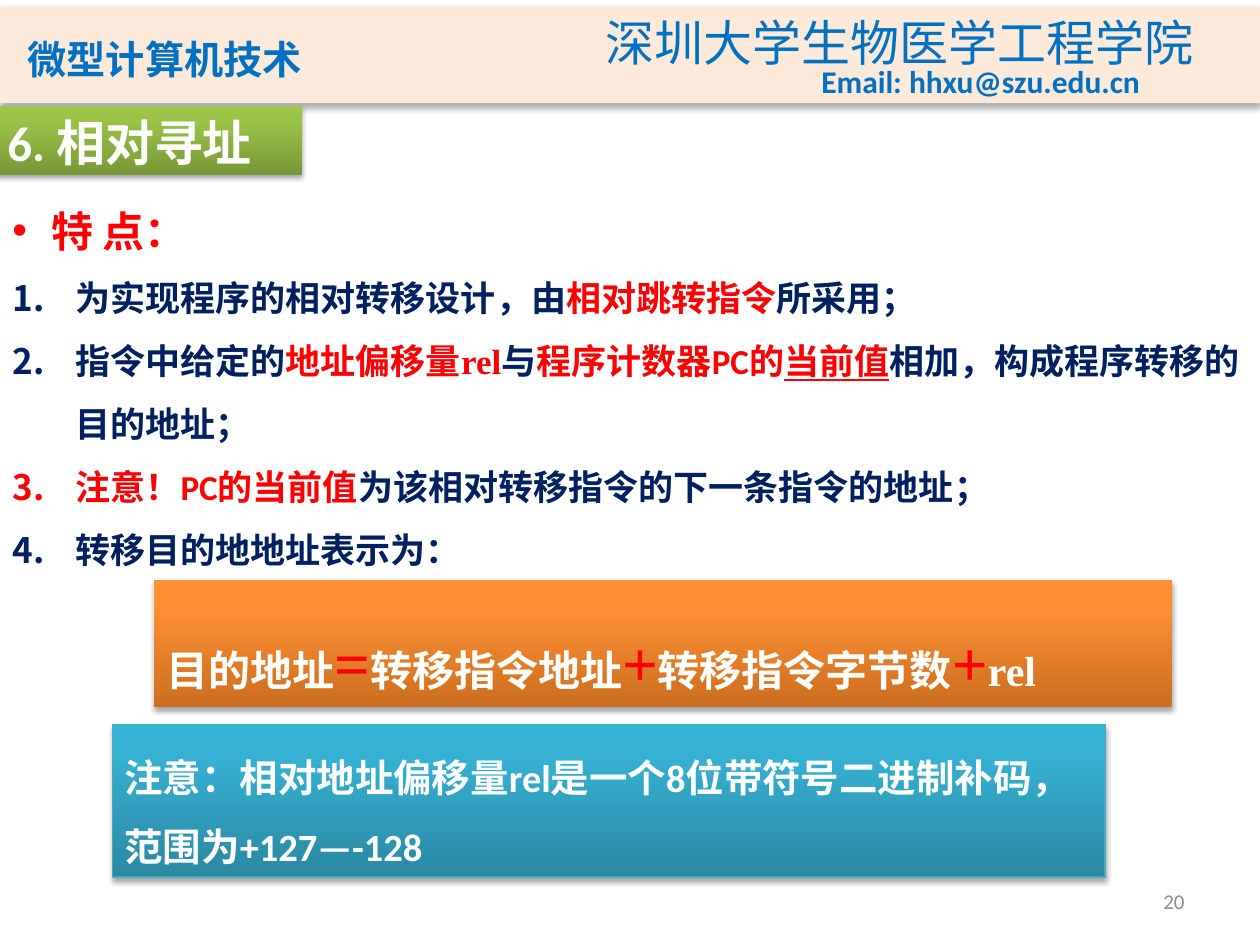
from lxml.etree import SubElement
from pptx import Presentation
from pptx.dml.color import RGBColor
from pptx.enum.shapes import MSO_SHAPE
from pptx.enum.text import MSO_ANCHOR, MSO_AUTO_SIZE, PP_ALIGN
from pptx.oxml import parse_xml
from pptx.oxml.ns import nsdecls, qn
from pptx.util import Inches, Pt

HUE = {
    "blue": "0070C0", "navy": "002060", "red": "FF0000", "white": "FFFFFF",
    "gray": "8C8C8C", "peach": "FDEADA", "edge": "46AAC5",
}
FADE = {
    "green": ("779737", "9BC348", "9DC746"),
    "orange": ("CC6E20", "FF9034", "FF9136"),
    "teal": ("2A88A2", "37B1D2", "34B4D6"),
}
SANS, CJK, TIMES = "Calibri", "Noto Sans CJK SC", "Times New Roman"

deck = Presentation()
deck.slide_width, deck.slide_height = Inches(10), Inches(7.5)
page = deck.slides.add_slide(deck.slide_layouts[6])

# Grid of 100 columns by 75 rows
COL, ROW = deck.slide_width / 100, deck.slide_height / 75


def write(box, runs, new=False, size=18, font=SANS, east=CJK, hue="blue", bold=True,
          caps=False, wrap=True, grow=False, anchor=MSO_ANCHOR.TOP,
          align=PP_ALIGN.LEFT, lead=None, mark=None, hang=0):
    """Fill one paragraph; each run is (text, overrides of size, font, hue, under)."""
    frame = box.text_frame
    frame.word_wrap, frame.vertical_anchor = wrap, anchor
    frame.auto_size = MSO_AUTO_SIZE.SHAPE_TO_FIT_TEXT if grow else MSO_AUTO_SIZE.NONE
    para = frame.add_paragraph() if new else frame.paragraphs[0]
    para.alignment = align
    if lead:
        para.line_spacing = lead
    if mark:
        prop = para._p.get_or_add_pPr()
        prop.set("marL", str(int(hang * COL)))
        prop.set("indent", str(int(-hang * COL)))
        if mark == "•":
            SubElement(prop, qn("a:buFont"), typeface="Arial")
            SubElement(prop, qn("a:buChar"), char=mark)
        else:
            SubElement(prop, qn("a:buFont"), typeface="+mj-lt")
            SubElement(prop, qn("a:buAutoNum"), type=mark)
    for text, own in runs:
        run = para.add_run()
        run.text = text
        run.font.size = Pt(own.get("size", size))
        run.font.name = own.get("font", font)
        run.font.bold = bold
        run.font.color.rgb = RGBColor.from_string(HUE[own.get("hue", hue)])
        if own.get("under"):
            run.font.underline = True
        prop = run._r.get_or_add_rPr()
        if caps:
            prop.set("cap", "small")
        SubElement(prop, qn("a:ea"), typeface=east)


def place(x, y, wide, high, fill=None, edge=None, blur=3.1, drop=1.8, dark=35):
    """Add a text box, or a shadowed rectangle when a fill is named."""
    spot = [int(x * COL), int(y * ROW), int(wide * COL), int(high * ROW)]
    if not fill:
        return page.shapes.add_textbox(*spot)
    box = page.shapes.add_shape(MSO_SHAPE.RECTANGLE, *spot)
    box.fill.solid()
    if fill in HUE:
        box.fill.fore_color.rgb = RGBColor.from_string(HUE[fill])
    else:
        stops = "".join(f'<a:gs pos="{pos}"><a:srgbClr val="{tone}"/></a:gs>'
                        for pos, tone in zip((0, 80000, 100000), FADE[fill]))
        solid = box._element.spPr.find(qn("a:solidFill"))
        solid.getparent().replace(solid, parse_xml(
            f'<a:gradFill {nsdecls("a")} rotWithShape="1"><a:gsLst>{stops}</a:gsLst>'
            '<a:lin ang="16200000" scaled="0"/></a:gradFill>'))
    if edge:
        box.line.color.rgb = RGBColor.from_string(HUE[edge])
        box.line.width = Pt(0.75)
    else:
        box.line.fill.background()
    box.shadow.inherit = False
    box._element.spPr.find(qn("a:effectLst")).append(parse_xml(
        f'<a:outerShdw {nsdecls("a")} blurRad="{Pt(blur)}" dist="{Pt(drop)}" dir="5400000" '
        f'rotWithShape="0"><a:srgbClr val="000000"><a:alpha val="{dark * 1000}"/>'
        '</a:srgbClr></a:outerShdw>'))
    return box


# Header band
place(0, 0.5, 100, 7.7, "peach", blur=3.5, drop=2.2, dark=32)
write(place(1.2, 1.6, 33.9, 5.6), [("微型计算机技术", {})], size=28,
      font="Noto Sans CJK JP", east="Noto Sans CJK JP", caps=True,
      anchor=MSO_ANCHOR.BOTTOM)
write(place(47.1, 0.5, 49.1, 5.7), [("深圳大学生物医学工程学院", {})], size=28,
      font=CJK, bold=False, wrap=False, grow=True)
write(place(64.2, 4.4, 27.5, 4), [("Email: hhxu@szu.edu.cn", {})],
      wrap=False, grow=True)

# Page number
write(place(71.7, 69.5, 23.3, 4), [("20", {})], size=12, hue="gray", bold=False,
      anchor=MSO_ANCHOR.MIDDLE, align=PP_ALIGN.RIGHT)

# Section title
write(place(-0.4, 8.4, 24.4, 5.5, "green"), [("6. 相对寻址", {})], size=28, hue="white")

# Features
red = {"hue": "red"}
items = [
    [("为实现程序的相对转移设计，由", {}), ("相对跳转指令", red), ("所采用；", {})],
    [("指令中给定的", {}), ("地址偏移量", red), ("rel", {"hue": "red", "font": TIMES}),
     ("与", {}), ("程序计数器PC的", red), ("当前值", {"hue": "red", "under": True}),
     ("相加，构成程序转移的目的地址；", {})],
    [("注意！PC的当前值", red), ("为该相对转移指令的下一条指令的地址；", {})],
    [("转移目的地地址表示为：", {})],
]
body = place(0, 15, 100, 31.1)
write(body, [("特 点：", {})], size=24, hue="red", lead=1.2, mark="•", hang=3.1, grow=True)
for item in items:
    write(body, item, new=True, size=20, hue="navy", lead=1.5,
          mark="arabicPeriod", hang=5, grow=True)

# Address formula
sign = {"size": 36, "hue": "red"}
write(place(12.2, 46, 80.8, 10.1, "orange"),
      [("目的地址", {}), ("=", sign), ("转移指令地址", {}), ("+", sign),
       ("转移指令字节数", {}), ("+", sign), ("rel", {})],
      size=24, font=TIMES, hue="white", lead=1.5, grow=True)

# Range note
write(place(8.9, 57.5, 78.8, 12.1, "teal", edge="edge"),
      [("注意：相对地址偏移量rel是一个8位带符号二进制补码，范围为+127—-128", {})],
      size=22, hue="white", lead=1.5, grow=True)

deck.save("out.pptx")
